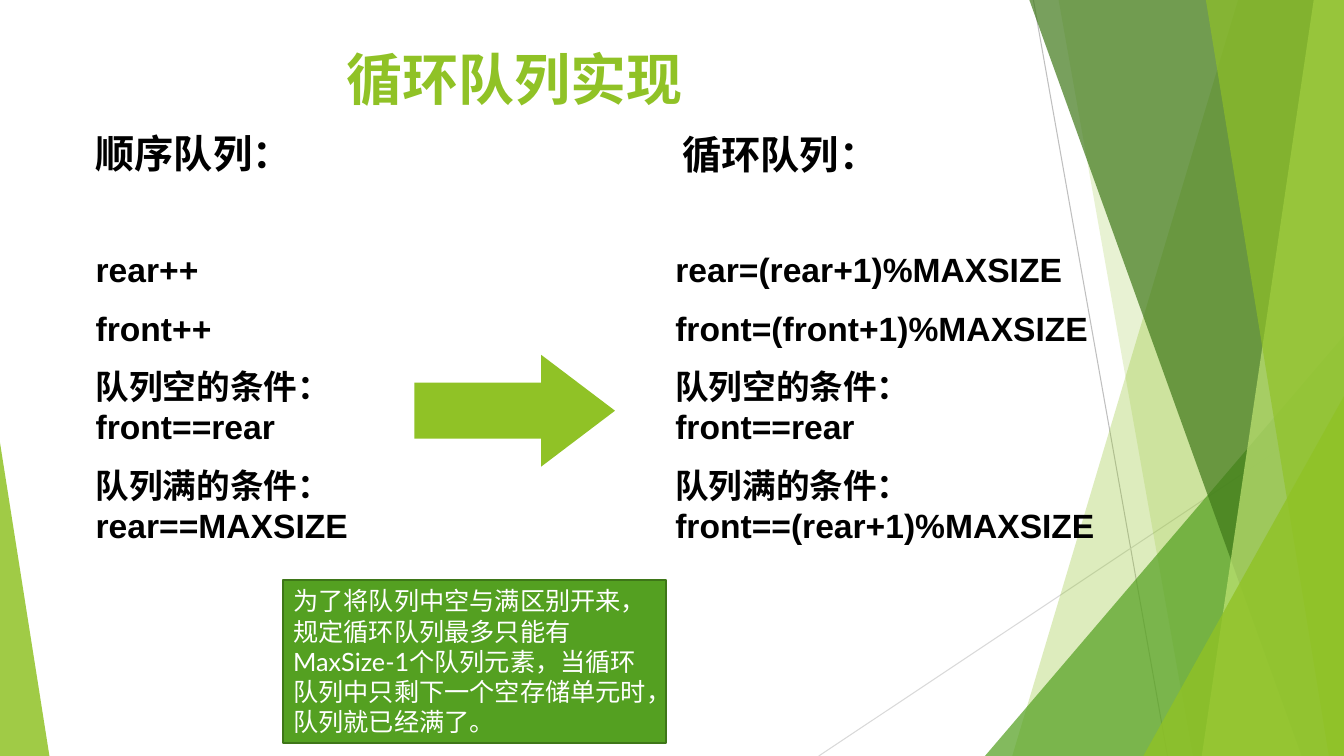
from lxml.etree import SubElement
from pptx import Presentation
from pptx.dml.color import RGBColor
from pptx.enum.shapes import MSO_CONNECTOR as Connector, MSO_SHAPE as Shape
from pptx.enum.text import MSO_ANCHOR as Anchor, PP_ALIGN as Align
from pptx.oxml.ns import qn
from pptx.util import Inches, Pt

WIDTH, HEIGHT = Inches(13.33), Inches(7.5)
COLOURS = {
    "lime": "90C226", "green": "54A021", "forest": "3F7819", "pale": "C0E474",
    "edge": "3E7618", "grey": "BFBFBF", "silver": "D9D9D9",
    "black": "000000", "white": "FFFFFF",
}
GAP = 13

RAYS = [((76.89, 0), (86.87, 100), "grey"), ((100, 53.73), (60.92, 100), "silver")]
BACK_FACETS = [(92.12, 75.32, "lime", 30), (78.77, 88.75, "lime", 20)]
FRONT_FACETS = [
    (76.59, 96.85, "forest", 70), (97.75, 89.42, "pale", 70), (89.72, 98.87, "lime", 65),
]
BACK_WEDGE = ((73.29, 44.4, 26.71, 55.6), 1, "green", 72)
FRONT_WEDGES = [
    ((85.07, 52.4, 14.93, 47.6), 1, "lime", 80), ((0, 58.53, 3.68, 41.47), 0, "lime", 85),
]

HEADINGS = [((6.38, 16.4, 16.5, 7.6), "顺序队列："), ((50.04, 16.53, 16.5, 7.6), "循环队列：")]
RULES = [
    ((6.38, 32.27, 25.81, 41.73), [
        ("rear++", 0), ("front++", GAP),
        ("队列空的条件：front==rear", GAP), ("队列满的条件：rear==MAXSIZE", GAP),
    ]),
    ((49.51, 32.27, 33.98, 41.73), [
        ("rear=(rear+1)%MAXSIZE", 0), ("front=(front+1)%MAXSIZE", GAP),
        ("队列空的条件：", GAP), ("front==rear", 0),
        ("队列满的条件：front==(rear+1)%MAXSIZE", GAP),
    ]),
]
NOTE = ("为了将队列中空与满区别开来，规定循环队列最多只能有MaxSize-1个队列元素，"
        "当循环队列中只剩下一个空存储单元时，队列就已经满了。")


def colour(name):
    return RGBColor.from_string(COLOURS[name])


def point(across, down):
    return round(WIDTH * across / 100), round(HEIGHT * down / 100)


def area(shares):
    return point(*shares[:2]) + point(*shares[2:])


def paint(shape, fill, opacity=100):
    shape.shadow.inherit = False
    shape.line.fill.background()
    shape.fill.solid()
    shape.fill.fore_color.rgb = colour(fill)
    if opacity < 100:
        tint = shape.fill._xPr.find(qn("a:solidFill"))[0]
        SubElement(tint, qn("a:alpha")).set("val", str(opacity * 1000))


def add_ray(page, start, end, tone):
    ray = page.shapes.add_connector(Connector.STRAIGHT, *point(*start), *point(*end))
    ray.line.color.rgb = colour(tone)
    ray.line.width = Pt(0.75)
    SubElement(ray._element.spPr, qn("a:effectLst"))


def add_facet(page, top, bottom, fill, opacity):
    outline = page.shapes.build_freeform(*point(top, 0))
    outline.add_line_segments([point(100, 0), point(100, 100), point(bottom, 100)])
    paint(outline.convert_to_shape(), fill, opacity)


def add_preset(page, kind, shares, adjustments, fill, opacity=100):
    shape = page.shapes.add_shape(kind, *area(shares))
    for index, value in enumerate(adjustments):
        shape.adjustments[index] = value
    paint(shape, fill, opacity)
    return shape


def write(box, lines, size, tone, face, bold=True, align=Align.LEFT, anchor=Anchor.TOP):
    frame = box.text_frame
    frame.word_wrap = True
    frame.vertical_anchor = anchor
    formats = {"size": Pt(size), "name": face, "bold": bold}
    for index, (text, gap) in enumerate(lines):
        para = frame.add_paragraph() if index else frame.paragraphs[0]
        para.alignment = align
        para.space_before = Pt(gap)
        span = para.add_run()
        span.text = text
        for name, value in formats.items():
            setattr(span.font, name, value)
        span.font.color.rgb = colour(tone)


def add_text(page, shares, lines, size):
    write(page.shapes.add_textbox(*area(shares)), lines, size, "black", "Arial")


def add_title(page, shares, text):
    title = page.shapes.title
    for name, value in zip(("left", "top", "width", "height"), area(shares)):
        setattr(title, name, value)
    write(title, [(text, 0)], 40, "lime", "Lato", align=Align.CENTER, anchor=Anchor.MIDDLE)


def add_backdrop(page):
    for ray in RAYS:
        add_ray(page, *ray)
    for facets, wedges in ((BACK_FACETS, [BACK_WEDGE]), (FRONT_FACETS, FRONT_WEDGES)):
        for facet in facets:
            add_facet(page, *facet)
        for shares, apex, fill, opacity in wedges:
            add_preset(page, Shape.ISOSCELES_TRIANGLE, shares, [apex], fill, opacity)


def add_note(page, shares, text):
    note = add_preset(page, Shape.RECTANGLE, shares, [], "green")
    note.line.color.rgb = colour("edge")
    note.line.width = Pt(1.5)
    write(note, [(text, 0)], 18, "white", "Lato", bold=False, anchor=Anchor.MIDDLE)


def main():
    deck = Presentation()
    deck.slide_width, deck.slide_height = WIDTH, HEIGHT
    page = deck.slides.add_slide(deck.slide_layouts[5])
    add_backdrop(page)
    add_title(page, (3, 4.4, 70.52, 12), "循环队列实现")
    for shares, heading in HEADINGS:
        add_text(page, shares, [(heading, 0)], 28)
    for shares, lines in RULES:
        add_text(page, shares, lines, 24)
    add_preset(page, Shape.RIGHT_ARROW, (30.83, 46.93, 14.93, 14.8), [0.5, 0.66], "lime")
    add_note(page, (21.08, 76.67, 28.51, 21.6), NOTE)
    deck.save("out.pptx")


if __name__ == "__main__":
    main()
